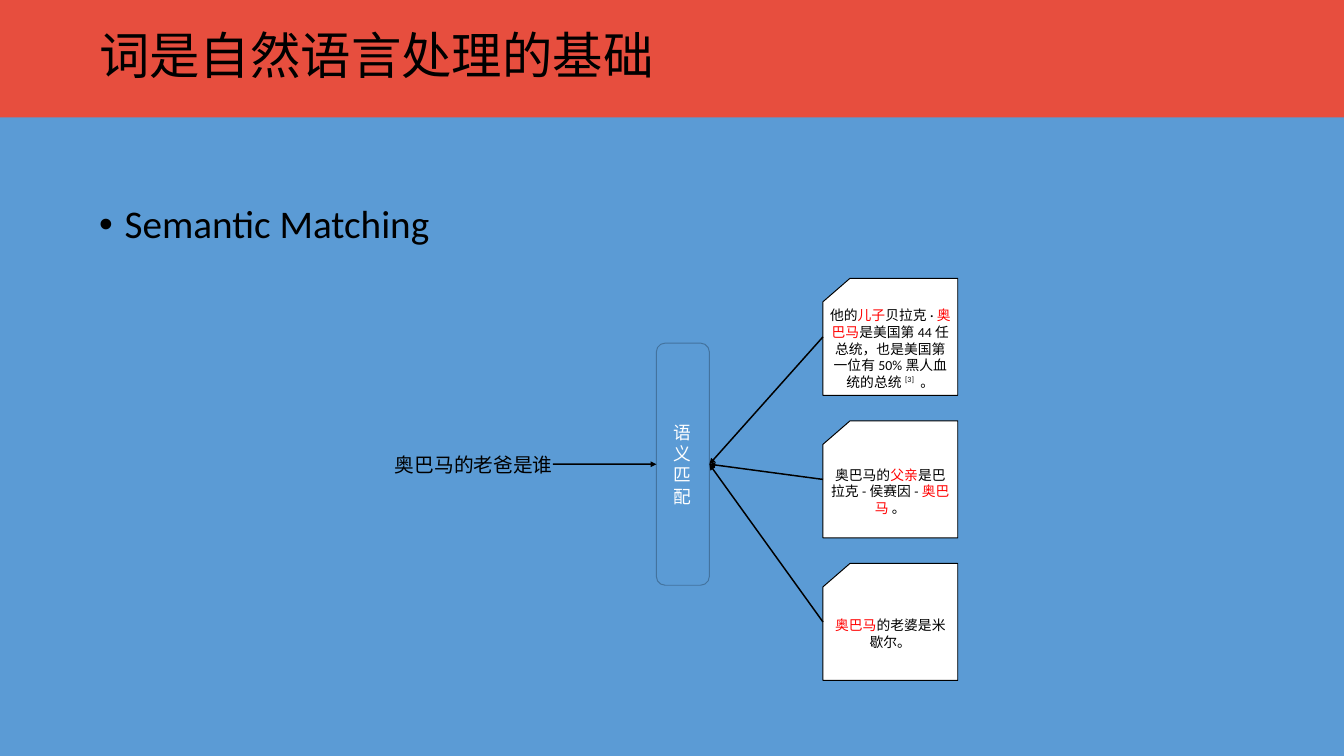
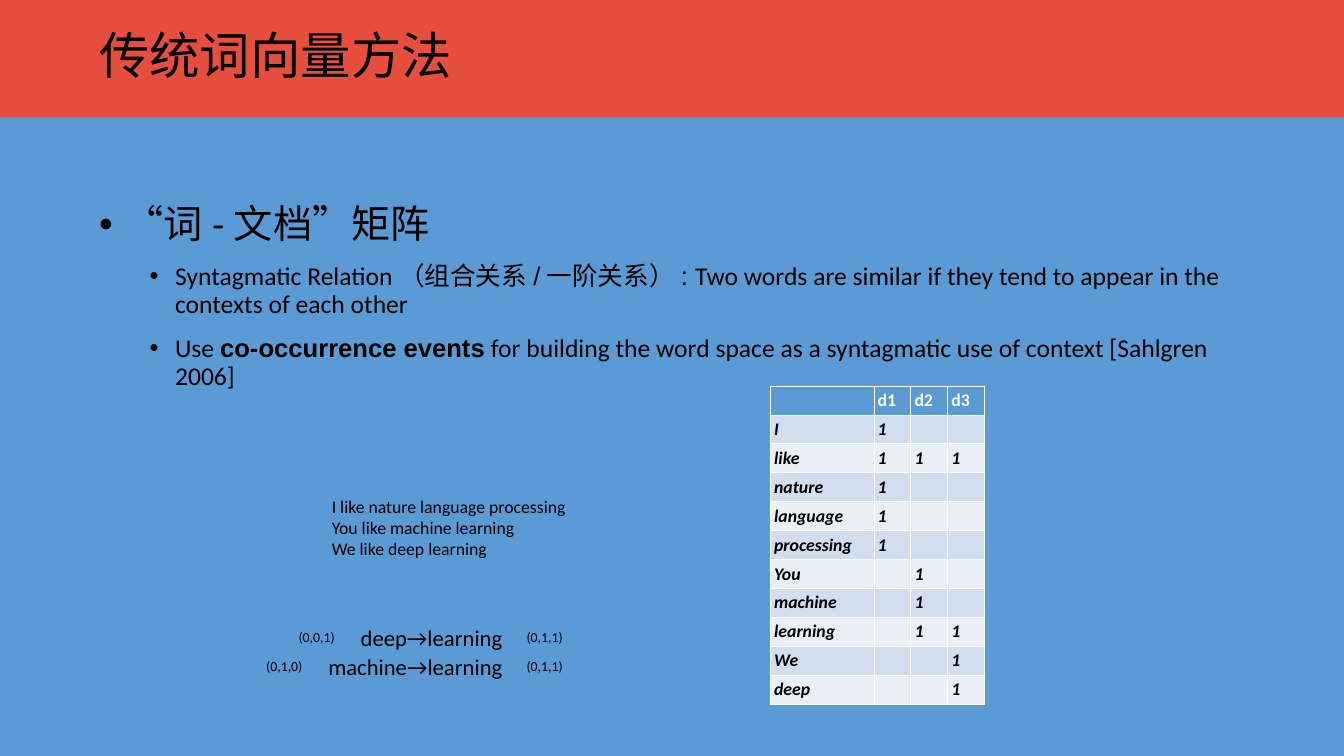
from lxml.etree import SubElement
from pptx import Presentation
from pptx.dml.color import RGBColor
from pptx.enum.shapes import MSO_CONNECTOR as Connector, MSO_SHAPE as Preset
from pptx.enum.text import MSO_ANCHOR as Anchor, MSO_AUTO_SIZE as AutoSize, PP_ALIGN as Align
from pptx.oxml.ns import qn
from pptx.util import Cm, Pt

BLUE, RED, WHITE, BLACK = "5B9BD5", "E74E3E", "FFFFFF", "000000"
MARK, OUTLINE = "FF0000", "43739E"
BANDS = ("D0DEEF", "E9EFF7")

SLIDE_SIZE = (48.16, 27.1)
BAND_BOX = (0, 0, 48.16, 4.21)
TITLE_BOX = (3.3, 0.36, 41.55, 3.48)
BODY_BOX = (3.3, 7.21, 41.55, 17.2)
LEVELS = ((39.8, 0.91), (26, 2.72))  # text size, left margin in cm
HANGING = 0.91

# A span is plain text or (text, style).
RED_SPAN = {"color": MARK}
ARIAL = {"name": "Arial"}
MATCHING = {
    "title": "词是自然语言处理的基础",
    "body": [(0, ["Semantic Matching"])],
    "gap": 14.2,
}
MATRIX = {
    "title": "传统词向量方法",
    "body": [
        (0, ["“词-文档”矩阵"]),
        (1, ["Syntagmatic Relation", ("（组合关系/一阶关系）: ", ARIAL),
             "Two words are similar if they tend to appear in the contexts of each other"]),
        (1, ["Use ", ("co-occurrence events", {"name": "Arial", "bold": True}),
             " for building the word space as a syntagmatic use of context [Sahlgren 2006]"]),
    ],
    "gap": 17,
}
QUESTION = "奥巴马的老爸是谁"
MATCHER = "语义匹配"
ANSWERS = [
    ["他的", ("儿子", RED_SPAN), "贝拉克·", ("奥巴马", RED_SPAN),
     "是美国第44任总统，也是美国第一位有50%黑人血统的总统",
     ("[3]", {"baseline": "30000"}), " 。"],
    ["奥巴马的", ("父亲", RED_SPAN), "是巴拉克-侯赛因-", ("奥巴马 ", RED_SPAN), "。"],
    [("奥巴马", RED_SPAN), "的老婆是米歇尔。"],
]
SENTENCES = [
    "I like nature language processing",
    "You like machine learning",
    "We like deep learning",
]
DOCUMENTS = ["d1", "d2", "d3"]
COUNTS = [
    ("I", "1", "", ""),
    ("like", "1", "1", "1"),
    ("nature", "1", "", ""),
    ("language", "1", "", ""),
    ("processing", "1", "", ""),
    ("You", "", "1", ""),
    ("machine", "", "1", ""),
    ("learning", "", "1", "1"),
    ("We", "", "", "1"),
    ("deep", "", "", "1"),
]
# left vector, phrase, right vector, phrase width in cm
PAIRS = [
    ("(0,0,1)", "deep→learning", "(0,1,1)", 5.44),
    ("(0,1,0)", "machine→learning", "(0,1,1)", 6.6),
]


def rgb(value):
    return RGBColor.from_string(value)


def cm(box):
    return [Cm(length) for length in box]


def set_font(font, size=None, color=None, name=None, bold=None, italic=None, baseline=None):
    if size:
        font.size = Pt(size)
    if color:
        font.color.rgb = rgb(color)
    if name:
        font.name = name
    if bold is not None:
        font.bold = bold
    if italic is not None:
        font.italic = italic
    if baseline:
        font._element.set("baseline", baseline)


def write(para, spans, size, color=BLACK, align=None, **style):
    para.alignment = align
    set_font(para.font, size, color, "Calibri", **style)
    for item in spans:
        text, changes = (item, {}) if isinstance(item, str) else item
        span = para.add_run()
        span.text = text
        set_font(span.font, **changes)


def set_frame(frame, anchor, inset=None, wrap=True):
    frame.word_wrap = wrap
    frame.auto_size = AutoSize.NONE
    frame.vertical_anchor = anchor
    if inset is not None:
        frame.margin_left = frame.margin_right = Cm(inset)
        frame.margin_top = frame.margin_bottom = Cm(inset)


def add_text(page, box, lines, size, align=None, anchor=Anchor.MIDDLE, inset=0.0, wrap=False):
    label = page.shapes.add_textbox(*cm(box))
    frame = label.text_frame
    set_frame(frame, anchor, inset, wrap)
    for index, line in enumerate(lines):
        para = frame.add_paragraph() if index else frame.paragraphs[0]
        write(para, [line], size, align=align)
    return label


def add_block(page, preset, box, fill, line=None):
    block = page.shapes.add_shape(preset, *cm(box))
    block.shadow.inherit = False
    block.fill.solid()
    block.fill.fore_color.rgb = rgb(fill)
    if line:
        block.line.color.rgb = rgb(line)
        block.line.width = Pt(1)
    else:
        block.line.fill.background()
    set_frame(block.text_frame, Anchor.MIDDLE)
    return block


def add_arrow(page, start, start_side, end, end_side):
    arrow = page.shapes.add_connector(Connector.STRAIGHT, 0, 0, 0, 0)
    arrow.begin_connect(start, start_side)
    arrow.end_connect(end, end_side)
    arrow.line.color.rgb = rgb(BLACK)
    arrow.line.width = Pt(1.5)
    SubElement(arrow.line._get_or_add_ln(), qn("a:tailEnd"), type="triangle")
    SubElement(arrow._element.spPr, qn("a:effectLst"))


def set_up_layout(deck):
    """Put the background, the band and the placeholder places on the layout."""
    layout = deck.slide_layouts[1]
    fill = deck.slide_master.background.fill
    fill.solid()
    fill.fore_color.rgb = rgb(BLUE)
    for holder, box in zip(layout.placeholders, (TITLE_BOX, BODY_BOX)):
        holder.left, holder.top, holder.width, holder.height = cm(box)
    return layout


def add_page(deck, layout, content):
    page = deck.slides.add_slide(layout)
    title, body = page.placeholders
    set_frame(title.text_frame, Anchor.MIDDLE)
    para = title.text_frame.paragraphs[0]
    para.line_spacing = 0.9
    write(para, [content["title"]], 51.2, align=Align.LEFT)

    frame = body.text_frame
    set_frame(frame, Anchor.TOP)
    for index, (level, spans) in enumerate(content["body"]):
        size, margin = LEVELS[level]
        para = frame.add_paragraph() if index else frame.paragraphs[0]
        para.level = level
        para.line_spacing = 0.9
        para.space_before = Pt(content["gap"] if index else 0)
        props = para._p.get_or_add_pPr()
        props.set("marL", str(Cm(margin)))
        props.set("indent", str(-Cm(HANGING)))
        SubElement(props, qn("a:buFont"), typeface="Arial")
        SubElement(props, qn("a:buChar"), char="•")
        write(para, spans, size)
    return page


def draw_matching(page):
    question = add_text(page, (14.15, 16.08, 5.66, 1.12), [QUESTION], 20, Align.CENTER)
    matcher = add_block(page, Preset.ROUNDED_RECTANGLE, (23.52, 12.3, 1.9, 8.68), BLUE, OUTLINE)
    write(matcher.text_frame.paragraphs[0], [MATCHER], 18, WHITE, Align.CENTER)
    for index, spans in enumerate(ANSWERS):
        box = (29.49, 9.98 + 5.11 * index, 4.83, 4.19)
        card = add_block(page, Preset.FLOWCHART_CARD, box, WHITE, BLACK)
        write(card.text_frame.paragraphs[0], spans, 14, align=Align.CENTER)
        add_arrow(page, card, 1, matcher, 3)
    add_arrow(page, question, 3, matcher, 1)


def draw_counts(page):
    rows = [("", *DOCUMENTS), *COUNTS]
    widths = (3.71, 1.32, 1.32, 1.32)
    row_height = 1.03
    box = (27.61, 13.84, sum(widths), row_height * len(rows))
    table = page.shapes.add_table(len(rows), len(widths), *cm(box)).table
    for column, width in zip(table.columns, widths):
        column.width = Cm(width)
    for r, values in enumerate(rows):
        table.rows[r].height = Cm(row_height)
        for c, value in enumerate(values):
            cell = table.cell(r, c)
            cell.margin_left = cell.margin_right = Cm(0.13)
            cell.margin_top = cell.margin_bottom = Cm(0.13)
            cell.fill.solid()
            cell.fill.fore_color.rgb = rgb(BANDS[(r - 1) % 2] if r else BLUE)
            write(cell.text_frame.paragraphs[0], [value] if value else [], 18,
                  BLACK if r else WHITE, bold=True, italic=r > 0)


def draw_pairs(page):
    phrase_right, vector_width = 18.19, 1.6
    for index, (before, phrase, after, width) in enumerate(PAIRS):
        middle = 22.84 + 1.04 * index
        left = phrase_right - width
        parts = [
            (before, left - 2.2, vector_width, 0.9, 14),
            (phrase, left, width, 1.28, 23),
            (after, phrase_right + 0.53, vector_width, 0.9, 14),
        ]
        for text, x, part_width, height, size in parts:
            box = (x, middle - height / 2, part_width, height)
            add_text(page, box, [text], size, Align.CENTER, inset=0.15)


def main():
    deck = Presentation()
    deck.slide_width, deck.slide_height = cm(SLIDE_SIZE)
    layout = set_up_layout(deck)

    matching = add_page(deck, layout, MATCHING)
    band = add_block(matching, Preset.RECTANGLE, BAND_BOX, RED)
    layout.shapes._spTree.insert(2, band._element)  # shared by every page
    draw_matching(matching)

    matrix = add_page(deck, layout, MATRIX)
    add_text(matrix, (11.76, 17.63, 10.26, 2.57), SENTENCES, 18,
             anchor=Anchor.TOP, inset=0.13, wrap=True)
    draw_counts(matrix)
    draw_pairs(matrix)
    deck.save("out.pptx")


if __name__ == "__main__":
    main()
